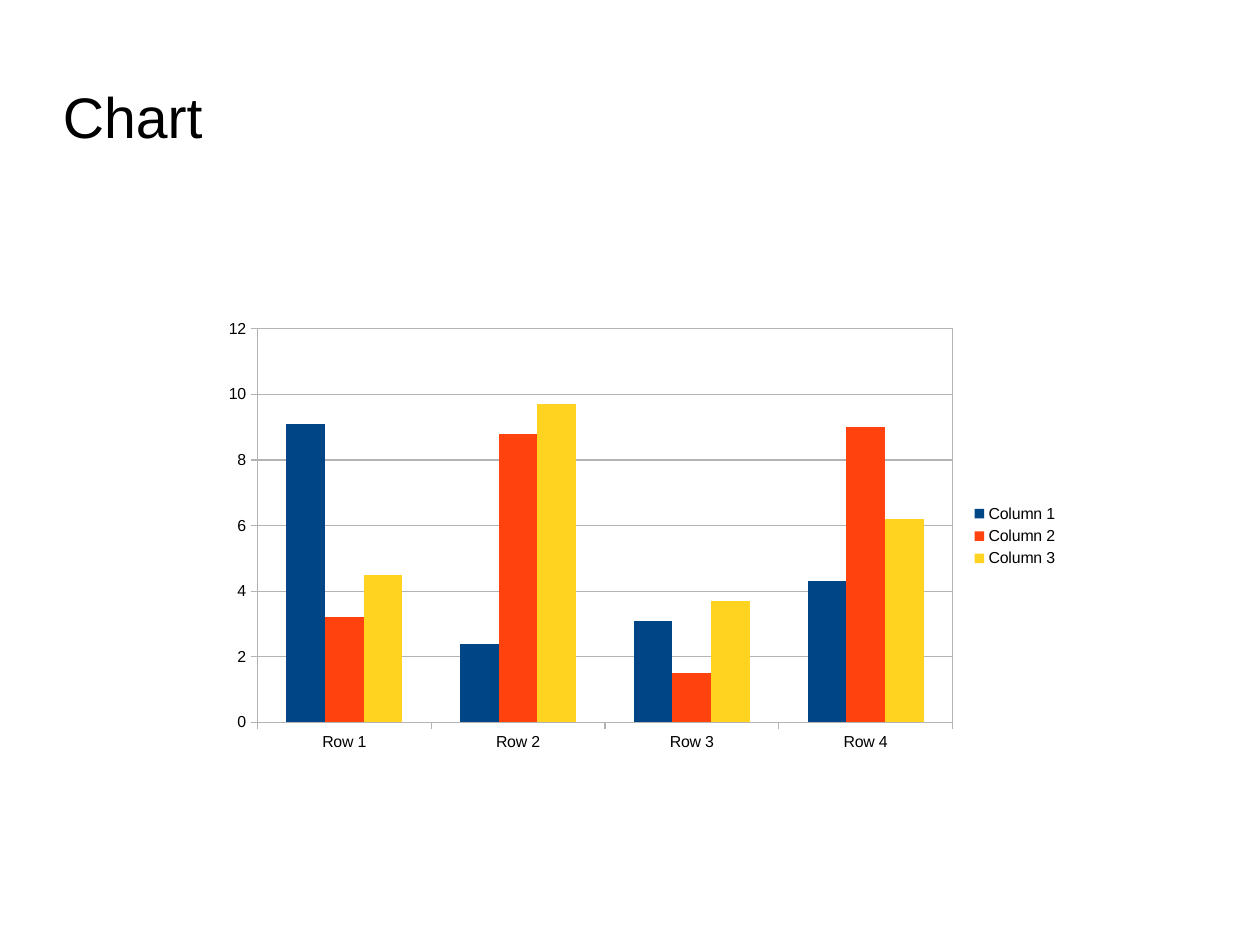
from lxml.etree import fromstring
from pptx import Presentation
from pptx.chart.data import CategoryChartData
from pptx.dml.color import RGBColor
from pptx.enum.chart import XL_CHART_TYPE, XL_LEGEND_POSITION, XL_TICK_MARK
from pptx.enum.text import MSO_ANCHOR
from pptx.util import Inches, Pt

BLACK = RGBColor(0x00, 0x00, 0x00)
GRAY = RGBColor(0xB3, 0xB3, 0xB3)
BLUE = RGBColor(0x00, 0x45, 0x86)
ORANGE = RGBColor(0xFF, 0x42, 0x0E)
YELLOW = RGBColor(0xFF, 0xD3, 0x20)

CHART_NS = "http://schemas.openxmlformats.org/drawingml/2006/chart"
DRAWING_NS = "http://schemas.openxmlformats.org/drawingml/2006/main"

COLUMNS = [
    ("Column 1", (9.1, 2.4, 3.1, 4.3), BLUE),
    ("Column 2", (3.2, 8.8, 1.5, 9), ORANGE),
    ("Column 3", (4.5, 9.7, 3.7, 6.2), YELLOW),
]

deck = Presentation()
deck.slide_width = Pt(793.75)
deck.slide_height = Pt(595.25)
page = deck.slides.add_slide(deck.slide_layouts[6])

title_box = page.shapes.add_textbox(Inches(0.55), Inches(0.63), Inches(7.87), Inches(0.79))
title_frame = title_box.text_frame
title_frame.word_wrap = True
title_frame.vertical_anchor = MSO_ANCHOR.MIDDLE
title_frame.margin_left = title_frame.margin_right = title_frame.margin_bottom = 0
title_frame.margin_top = Inches(0.03)
title_frame.text = "Chart"
title = title_frame.paragraphs[0]
title.line_spacing = 0.94
span = title.runs[0]
span.font.name = "Arial"
span.font.size = Pt(36)
span.font.color.rgb = BLACK

data = CategoryChartData()
data.categories = ["Row 1", "Row 2", "Row 3", "Row 4"]
for name, values, color in COLUMNS:
    data.add_series(name, values)

chart = page.shapes.add_chart(
    XL_CHART_TYPE.COLUMN_CLUSTERED,
    Inches(1.85), Inches(2.72), Inches(7.51), Inches(3.94), data,
).chart
chart.has_title = False
chart.font.name = "Arial"
chart.font.size = Pt(10)
chart.font.color.rgb = BLACK
chart.has_legend = True
chart.legend.position = XL_LEGEND_POSITION.RIGHT
chart.legend.include_in_layout = False

plot = chart.plots[0]
plot.vary_by_categories = False
plot.gap_width = 150
plot.overlap = 0
for series, (name, values, color) in zip(plot.series, COLUMNS):
    series.format.fill.solid()
    series.format.fill.fore_color.rgb = color

value_axis = chart.value_axis
value_axis.minimum_scale = 0
value_axis.maximum_scale = 12
value_axis.major_unit = 2
value_axis.has_major_gridlines = True
for axis in (chart.category_axis, value_axis):
    axis.major_tick_mark = XL_TICK_MARK.OUTSIDE
    axis.minor_tick_mark = XL_TICK_MARK.NONE
    axis.tick_labels.font.name = "Arial"
    axis.tick_labels.font.size = Pt(10)
    axis.tick_labels.font.color.rgb = BLACK
for lined in (chart.category_axis, value_axis, value_axis.major_gridlines):
    lined.format.line.color.rgb = GRAY
    lined.format.line.width = Pt(0.75)
chart.legend.font.name = "Arial"
chart.legend.font.size = Pt(10)
chart.legend.font.color.rgb = BLACK

plot_area = chart._chartSpace.chart.plotArea
for layout in plot_area.findall(f"{{{CHART_NS}}}layout"):
    plot_area.remove(layout)
plot_area.insert(0, fromstring(
    f'<c:layout xmlns:c="{CHART_NS}"><c:manualLayout>'
    '<c:layoutTarget val="inner"/><c:xMode val="edge"/><c:yMode val="edge"/>'
    '<c:x val="0.0535"/><c:y val="0.04"/><c:w val="0.81"/><c:h val="0.874"/>'
    '</c:manualLayout></c:layout>'
))
plot_area.append(fromstring(
    f'<c:spPr xmlns:c="{CHART_NS}" xmlns:a="{DRAWING_NS}">'
    '<a:solidFill><a:srgbClr val="FFFFFF"/></a:solidFill>'
    f'<a:ln w="{Pt(0.75)}"><a:solidFill><a:srgbClr val="{GRAY}"/></a:solidFill></a:ln>'
    '</c:spPr>'
))

deck.save("out.pptx")
